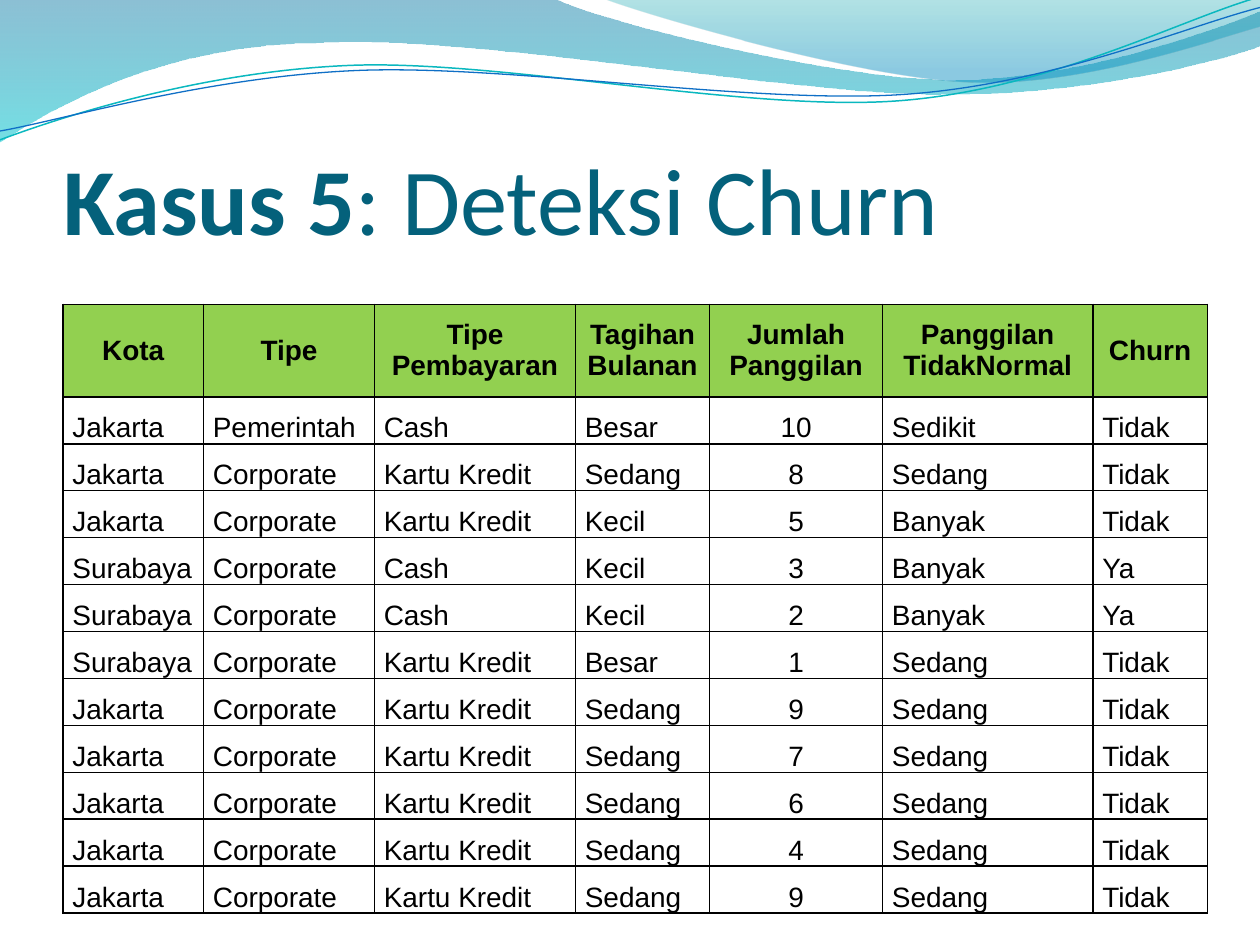
from math import cos, radians, sin

from lxml.etree import SubElement
from pptx import Presentation
from pptx.dml.color import RGBColor
from pptx.enum.text import MSO_ANCHOR, MSO_AUTO_SIZE, PP_ALIGN
from pptx.oxml.ns import qn
from pptx.util import Pt

COLORS = {
    "title": "04617B", "text": "000000", "border": "000000", "header": "92D050",
    "ribbon_top": "0074A1", "ribbon_bottom": "00C6CF",
    "sheet_top": "00A1A9", "sheet_bottom": "008BBF",
    "teal_line": "0AB8BF", "blue_line": "0F6FC6",
}

RIBBON = [
    [(0, -0.72)], [(316.8, -0.72)],
    [(342.7, 12.2), (478.1, 45.4), (545.8, 45.4)],
    [(614.2, 45.4), (689.8, 18.7), (720, 6.5)],
    [(720.7, 25.9)],
    [(707.8, 31.7), (626.4, 54.7), (537.1, 54)],
    [(447.8, 54), (275, 20.2), (185, 24.5)],
    [(92.9, 25.2), (33.1, 59.8), (-0.72, 81.4)],
]
SHEET = [
    [(344.9, -0.72)],
    [(366.5, 7.9), (491, 44.6), (553.7, 46.8)],
    [(616.3, 49.7), (691.9, 23), (720, 15.1)],
    [(720, 0)],
]
TEAL_LINE = [
    [(0, 79.9)],
    [(34.6, 67), (113.8, 41), (199.4, 37.4)],
    [(284.4, 33.8), (427, 64.1), (513.4, 57.6)],
    [(599.8, 51.1), (675.4, 10.8), (718.6, -1.4)],
]
BLUE_LINE = [
    [(0, 74.9)],
    [(33.8, 69.1), (118.1, 43.9), (203.8, 40.3)],
    [(290.2, 36.7), (429.8, 59.8), (516.2, 54)],
    [(601.9, 48.2), (677.5, 15.1), (720, 4.3)],
]
LINE_TILT = -2.7

COLUMN_WIDTHS = [80.3, 97.7, 114.9, 76.6, 98.9, 120.2, 65.4]
HEADERS = [["Kota"], ["Tipe"], ["Tipe", "Pembayaran"], ["Tagihan", "Bulanan"],
           ["Jumlah", "Panggilan"], ["Panggilan", "TidakNormal"], ["Churn"]]
CUSTOMERS = [
    ["Jakarta", "Pemerintah", "Cash", "Besar", "10", "Sedikit", "Tidak"],
    ["Jakarta", "Corporate", "Kartu Kredit", "Sedang", "8", "Sedang", "Tidak"],
    ["Jakarta", "Corporate", "Kartu Kredit", "Kecil", "5", "Banyak", "Tidak"],
    ["Surabaya", "Corporate", "Cash", "Kecil", "3", "Banyak", "Ya"],
    ["Surabaya", "Corporate", "Cash", "Kecil", "2", "Banyak", "Ya"],
    ["Surabaya", "Corporate", "Kartu Kredit", "Besar", "1", "Sedang", "Tidak"],
    ["Jakarta", "Corporate", "Kartu Kredit", "Sedang", "9", "Sedang", "Tidak"],
    ["Jakarta", "Corporate", "Kartu Kredit", "Sedang", "7", "Sedang", "Tidak"],
    ["Jakarta", "Corporate", "Kartu Kredit", "Sedang", "6", "Sedang", "Tidak"],
    ["Jakarta", "Corporate", "Kartu Kredit", "Sedang", "4", "Sedang", "Tidak"],
    ["Jakarta", "Corporate", "Kartu Kredit", "Sedang", "9", "Sedang", "Tidak"],
]


def color(name):
    return RGBColor.from_string(COLORS[name])


def turn(segments, center, degrees):
    c, s = cos(radians(degrees)), sin(radians(degrees))
    cx, cy = center
    return [[(cx + (x - cx) * c - (y - cy) * s, cy + (x - cx) * s + (y - cy) * c)
             for x, y in segment] for segment in segments]


def add_outline(shapes, left, top, segments, close):
    points = [(Pt(left + x), Pt(top + y)) for segment in segments for x, y in segment]
    builder = shapes.build_freeform(*points[0], scale=1.0)
    builder.add_line_segments(points[1:], close=close)
    shape = builder.convert_to_shape()
    shape.shadow.inherit = False
    straight = iter(list(shape.element.iter(qn("a:lnTo"))))
    for segment in segments[1:]:
        pieces = [next(straight) for _ in segment]
        if len(pieces) == 3:
            curve = pieces[0]
            curve.tag = qn("a:cubicBezTo")
            for piece in pieces[1:]:
                curve.append(piece[0])
                piece.getparent().remove(piece)
    return shape


def add_waves(page, left, top):
    bands = [
        (RIBBON, [("ribbon_top", 0, 45), ("ribbon_bottom", 1, 55)]),
        (SHEET, [("sheet_top", 0, 30), ("sheet_bottom", 0.8, 45)]),
    ]
    for segments, stops in bands:
        shape = add_outline(page.shapes, left, top, segments, True)
        shape.line.fill.background()
        shape.fill.gradient()
        shape.fill.gradient_angle = 270
        for stop, (name, position, opacity) in zip(shape.fill.gradient_stops, stops):
            stop.color.rgb = color(name)
            stop.position = position
        for tag, (name, position, opacity) in zip(shape.element.iter(qn("a:srgbClr")), stops):
            SubElement(tag, qn("a:alpha"), val=str(opacity * 1000))
    group = page.shapes.add_group_shape()
    strokes = [(TEAL_LINE, (359.3, 41.4), "teal_line", 0.85),
               (BLUE_LINE, (359.6, 42.5), "blue_line", 0.75)]
    for segments, center, name, width in strokes:
        level = turn(segments, center, -LINE_TILT)
        shape = add_outline(group.shapes, left, top, level, False)
        shape.rotation = LINE_TILT
        shape.fill.background()
        shape.line.color.rgb = color(name)
        shape.line.width = Pt(width)


def add_span(para, text, font, size, name, bold):
    span = para.add_run()
    span.text = text
    span.font.name = font
    span.font.size = Pt(size)
    span.font.color.rgb = color(name)
    span.font.bold = bold


def place_title(page, left, top, width, height):
    title = page.shapes.title
    title.left, title.top, title.width, title.height = Pt(left), Pt(top), Pt(width), Pt(height)
    box = title.text_frame
    box.auto_size = MSO_AUTO_SIZE.NONE
    box.word_wrap = True
    box.vertical_anchor = MSO_ANCHOR.BOTTOM
    box.margin_left = box.margin_right = box.margin_bottom = 0
    box.margin_top = Pt(3.6)
    para = box.paragraphs[0]
    para.alignment = PP_ALIGN.LEFT
    add_span(para, "Kasus 5", "Calibri", 54, "title", True)
    add_span(para, ": Deteksi Churn", "Calibri", 54, "title", False)
    title.element.getparent().append(title.element)


def set_borders(cell):
    properties = cell._tc.get_or_add_tcPr()
    for side in ("lnL", "lnR", "lnT", "lnB"):
        line = SubElement(properties, qn(f"a:{side}"), w=str(Pt(1)))
        fill = SubElement(line, qn("a:solidFill"))
        SubElement(fill, qn("a:srgbClr"), val=COLORS["border"])


def fill_cell(cell, lines, is_header, centered):
    set_borders(cell)
    if is_header:
        cell.fill.solid()
        cell.fill.fore_color.rgb = color("header")
    else:
        cell.fill.background()
    cell.margin_left = cell.margin_right = Pt(5.4)
    cell.margin_top = cell.margin_bottom = 0
    cell.vertical_anchor = MSO_ANCHOR.MIDDLE if is_header else MSO_ANCHOR.BOTTOM
    box = cell.text_frame
    for index, text in enumerate(lines):
        para = box.add_paragraph() if index else box.paragraphs[0]
        para.alignment = PP_ALIGN.CENTER if centered else PP_ALIGN.LEFT
        add_span(para, text, "Arial", 16, "text", is_header)


def add_customer_table(page, left, top, width, height, header_height=52.8):
    rows = [HEADERS] + [[[text] for text in customer] for customer in CUSTOMERS]
    table = page.shapes.add_table(len(rows), len(HEADERS), Pt(left), Pt(top),
                                  Pt(width), Pt(height)).table
    table.horz_banding = False
    for column, column_width in zip(table.columns, COLUMN_WIDTHS):
        column.width = Pt(column_width)
    row_height = (height - header_height) / len(CUSTOMERS)
    for r, values in enumerate(rows):
        table.rows[r].height = Pt(row_height if r else header_height)
        for c, lines in enumerate(values):
            fill_cell(table.cell(r, c), lines, r == 0, r == 0 or lines[0].isdigit())


def main():
    deck = Presentation()
    deck.slide_width, deck.slide_height = Pt(720), Pt(540)
    page = deck.slides.add_slide(deck.slide_layouts[5])
    add_waves(page, 0, 0)
    place_title(page, 36, 55.4, 653.8, 90)
    add_customer_table(page, 36, 174, 654, 347.8)
    deck.save("out.pptx")


if __name__ == "__main__":
    main()
